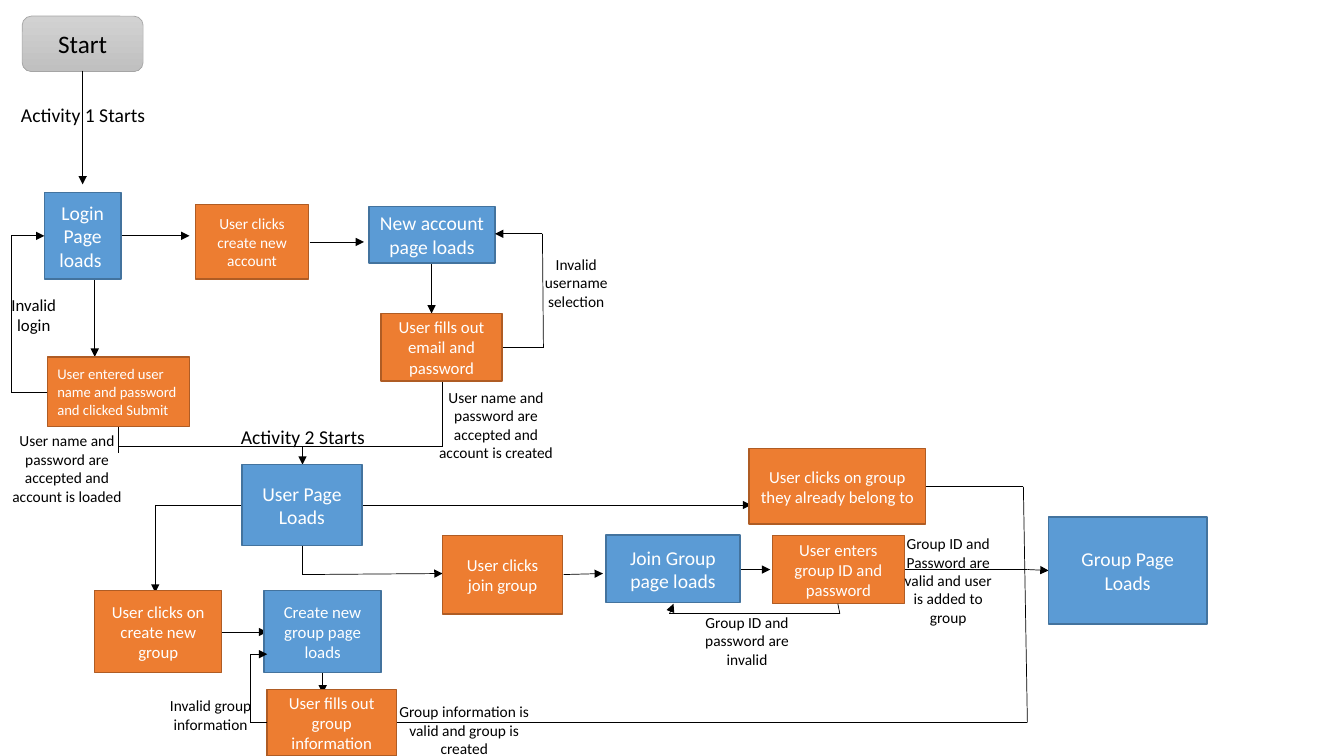
from lxml import etree
from pptx import Presentation
from pptx.dml.color import RGBColor
from pptx.enum.dml import MSO_LINE
from pptx.enum.shapes import MSO_CONNECTOR, MSO_SHAPE
from pptx.enum.text import MSO_ANCHOR, PP_ALIGN
from pptx.oxml.ns import qn
from pptx.util import Inches, Pt

RECTANGLE, ROUNDED = MSO_SHAPE.RECTANGLE, MSO_SHAPE.ROUNDED_RECTANGLE
STRAIGHT = MSO_CONNECTOR.STRAIGHT
SOLID = MSO_LINE.SOLID
TOP, MIDDLE = MSO_ANCHOR.TOP, MSO_ANCHOR.MIDDLE
LEFT, CENTER = PP_ALIGN.LEFT, PP_ALIGN.CENTER
FONT = "Calibri"
COLORS = {
    "page": "5B9BD5", "page_line": "43739E",
    "action": "ED7D31", "action_line": "AF5C24",
    "start_top": "D2D2D2", "start_bottom": "C0C0C0", "start_line": "A5A5A5",
    "black": "000000", "white": "FFFFFF",
}

PAGES = [
    ("Login Page loads ", 0.44, 1.91, 0.76, 0.86, 14),
    ("New account page loads", 3.66, 2.05, 1.25, 0.56, 14),
    ("User Page Loads", 2.4, 4.61, 1.19, 0.8, 14),
    ("Create new group page loads", 2.62, 5.86, 1.16, 0.81, 12),
    ("Join Group page loads", 6.01, 5.31, 1.33, 0.67, 14),
    ("Group Page Loads", 10.4, 5.13, 1.57, 1.06, 14),
]
ACTIONS = [
    ("User clicks create new account", 1.94, 2.03, 1.12, 0.74, 11),
    ("User fills out email and password", 3.78, 3.11, 1.2, 0.67, 12),
    ("User clicks on create new group", 0.94, 5.86, 1.26, 0.81, 12),
    ("User fills out group information", 2.65, 6.84, 1.28, 0.66, 12),
    ("User clicks join group", 4.39, 5.31, 1.19, 0.78, 12),
    ("User enters group ID and password", 7.66, 5.31, 1.31, 0.68, 12),
    ("User clicks on group they already belong to", 7.43, 4.45, 1.75, 0.75, 12),
]
ACTIVITY_LABELS = [
    ("Activity 1 Starts ", 0.11, 0.97, 1.51, 0.34),
    ("Activity 2 Starts", 2.29, 4.17, 1.98, 0.34),
]
OUTCOME_LABELS = [
    ("Invalid login", -0.04, 2.87, 0.75, 0.5, 12),
    ("Invalid username selection", 5.19, 2.48, 1.05, 0.66, 11),
    ("User name and password are accepted and account is created",
     4.18, 3.8, 1.48, 0.84, 11),
    ("User name and password are accepted and account is loaded",
     -0.09, 4.23, 1.51, 0.84, 11),
    ("Invalid group information", 1.56, 6.86, 1.06, 0.47, 11),
    ("Group ID and password are invalid", 6.76, 6.03, 1.3, 0.66, 11),
    ("Group information is valid and group is created",
     3.81, 6.92, 1.59, 0.66, 11),
    ("Group ID and Password are valid and user is added to group",
     8.81, 5.25, 1.19, 1.03, 11),
]
FORWARD_ARROWS = [
    [(0.82, 0.7), (0.82, 1.83)],
    [(0.94, 2.77), (0.94, 3.54)],
    [(1.2, 2.34), (1.88, 2.34)],
    [(3.07, 2.4), (3.61, 2.4)],
    [(4.28, 2.6), (4.28, 3.11)],
    [(3, 4.43), (3, 4.61)],
    [(2.4, 5.01), (1.54, 5.01), (1.54, 5.88)],
    [(2.2, 6.27), (2.65, 6.27)],
    [(3.2, 6.67), (3.2, 6.88)],
    [(3, 5.41), (3, 5.7), (4.39, 5.69)],
    [(5.59, 5.7), (5.98, 5.69)],
    [(7.34, 5.65), (7.64, 5.65)],
    [(3.59, 5.01), (7.45, 5.01)],
    [(8.97, 5.65), (10.19, 5.65), (10.4, 5.66)],
]
RETURN_ARROWS = [
    [(0.47, 3.89), (0.11, 3.89), (0.11, 2.34), (0.44, 2.34)],
    [(4.99, 3.45), (5.39, 3.45), (5.38, 2.32), (4.91, 2.32)],
    [(2.65, 7.17), (2.48, 7.17), (2.48, 6.49), (2.65, 6.49)],
    [(8.31, 5.99), (8.33, 6.09), (6.64, 6.09), (6.68, 5.99)],
]
JOINING_LINES = [
    [(4.39, 3.78), (4.39, 4.43), (1.17, 4.43)],
    [(1.17, 4.23), (1.17, 4.49)],
    [(3.93, 7.17), (10.19, 7.17), (10.15, 4.83), (9.18, 4.83)],
]


def rgb(name):
    return RGBColor.from_string(COLORS[name])


def write_text(shape, text, size, color, align, anchor):
    frame = shape.text_frame
    frame.word_wrap = True
    frame.vertical_anchor = anchor
    paragraph = frame.paragraphs[0]
    paragraph.alignment = align
    run = paragraph.add_run()
    run.text = text
    run.font.name = FONT
    run.font.size = Pt(size)
    run.font.color.rgb = rgb(color)


def add_box(slide, text, left, top, width, height, size, kind, align=CENTER):
    shape = slide.shapes.add_shape(
        RECTANGLE, Inches(left), Inches(top), Inches(width), Inches(height))
    shape.shadow.inherit = False
    shape.fill.solid()
    shape.fill.fore_color.rgb = rgb(kind)
    shape.line.color.rgb = rgb(kind + "_line")
    shape.line.width = Pt(1)
    write_text(shape, text, size, "white", align, MIDDLE)


def add_start(slide):
    shape = slide.shapes.add_shape(
        ROUNDED, Inches(0.22), Inches(0.16), Inches(1.2), Inches(0.55))
    shape.shadow.inherit = False
    shape.fill.gradient()
    shape.fill.gradient_angle = 270
    for stop, color in zip(shape.fill.gradient_stops, ("start_top", "start_bottom")):
        stop.color.rgb = rgb(color)
    shape.line.color.rgb = rgb("start_line")
    shape.line.width = Pt(0.5)
    write_text(shape, "Start", 18, "black", CENTER, MIDDLE)


def add_label(slide, text, left, top, width, height, size, align=CENTER):
    label = slide.shapes.add_textbox(
        Inches(left), Inches(top), Inches(width), Inches(height))
    write_text(label, text, size, "black", align, TOP)


def add_route(slide, points, arrow=True):
    for start, end in zip(points, points[1:]):
        connector = slide.shapes.add_connector(
            STRAIGHT, *(Inches(value) for value in start + end))
        connector.line.color.rgb = rgb("black")
        connector.line.width = Pt(0.5)
        connector.line.dash_style = SOLID
        properties = connector._element.spPr
        etree.SubElement(properties, qn("a:effectLst"))
    if arrow:
        outline = properties.find(qn("a:ln"))
        etree.SubElement(outline, qn("a:tailEnd"), type="triangle")


def main():
    presentation = Presentation()
    presentation.slide_width = Inches(13.33)
    presentation.slide_height = Inches(7.5)
    slide = presentation.slides.add_slide(presentation.slide_layouts[6])
    add_start(slide)
    for points in FORWARD_ARROWS:
        add_route(slide, points)
    for points in JOINING_LINES:
        add_route(slide, points, arrow=False)
    for page in PAGES:
        add_box(slide, *page, "page")
    for action in ACTIONS:
        add_box(slide, *action, "action")
    add_box(slide, "User entered user name and password and clicked Submit",
            0.47, 3.54, 1.41, 0.69, 10.5, "action", LEFT)
    for points in RETURN_ARROWS:
        add_route(slide, points)
    for label in ACTIVITY_LABELS:
        add_label(slide, *label, 14, LEFT)
    for label in OUTCOME_LABELS:
        add_label(slide, *label)
    presentation.save("out.pptx")


main()
